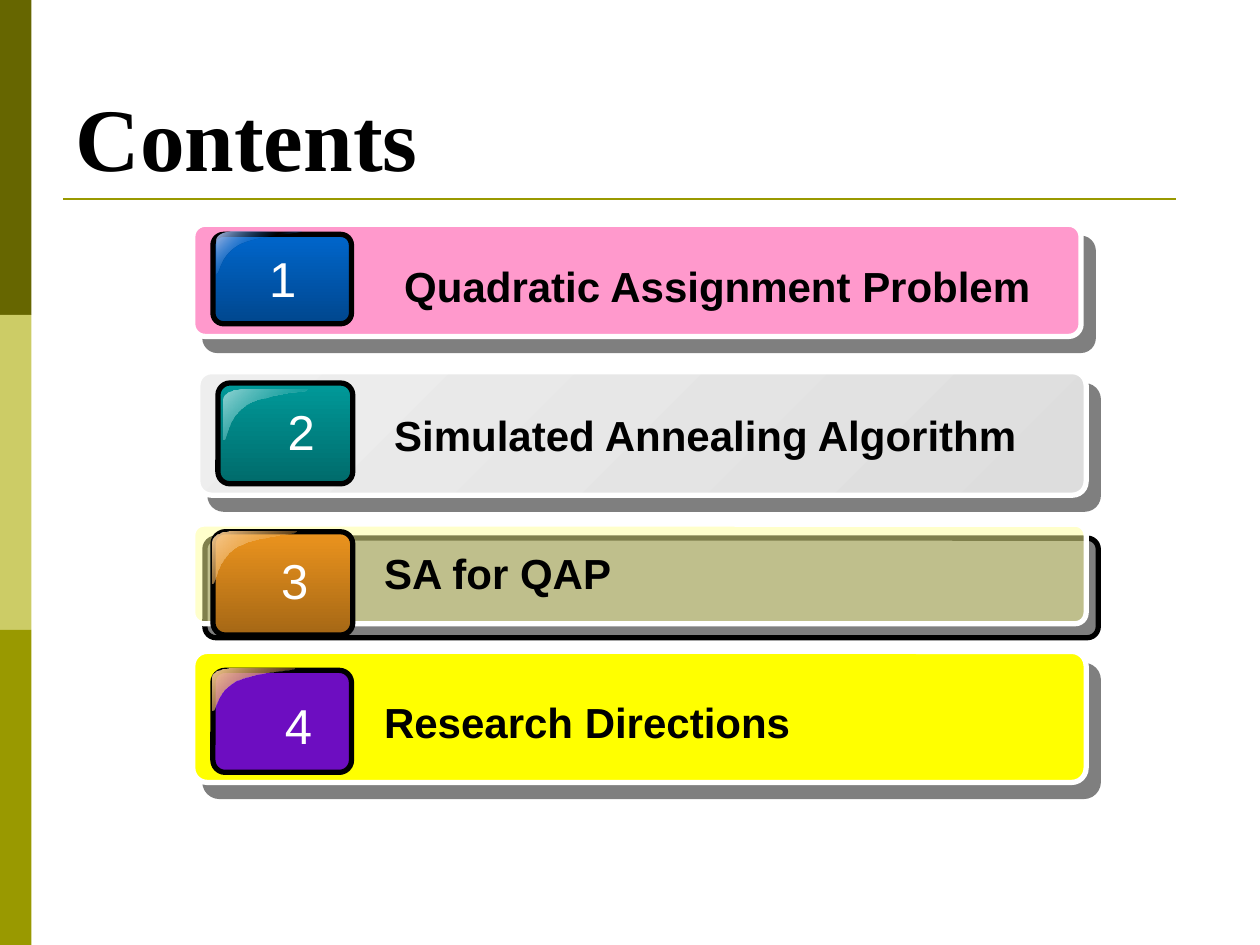
"""Build a contents slide with four numbered, glossy agenda bars."""
from lxml import etree
from pptx import Presentation
from pptx.dml.color import RGBColor
from pptx.enum.shapes import MSO_CONNECTOR, MSO_SHAPE
from pptx.enum.text import MSO_ANCHOR, MSO_AUTO_SIZE, PP_ALIGN
from pptx.oxml.ns import qn
from pptx.util import Inches, Pt

RECT, ROUND = MSO_SHAPE.RECTANGLE, MSO_SHAPE.ROUNDED_RECTANGLE
LINE = MSO_CONNECTOR.STRAIGHT
LEFT, CENTER = PP_ALIGN.LEFT, PP_ALIGN.CENTER
BOTTOM = MSO_ANCHOR.BOTTOM
GROW = MSO_AUTO_SIZE.SHAPE_TO_FIT_TEXT
BLACK, WHITE = RGBColor(0, 0, 0), RGBColor(255, 255, 255)
OLIVE = RGBColor(0x99, 0x99, 0x00)
BANDS = [RGBColor(0x66, 0x66, 0x00), RGBColor(0xCC, 0xCC, 0x66), OLIVE]

AMBER = [(0, "F6CB92", 100), (100, "EC941E", 0)]
ITEMS = [
    dict(text="Quadratic Assignment Problem", label=(3.11, 2.02, 5.18, 0.5),
         bar=(1.53, 1.78, 7.05, 0.89), paint=[(0, "FF99CC", 100)],
         key=(1.69, 1.86, 1.1, 0.71),
         tint=[(0, "0066CC", 100), (100, "00478E", 100)],
         shine=(1.72, 1.84, 0.68, 0.33),
         gloss=[(0, "B5C0E5", 100), (50, "0066CC", 0), (100, "B5C0E5", 100)],
         digit=(1.93, 1.92, 0.63, 0.57), wrap=True),
    dict(text="Simulated Annealing Algorithm", label=(3.03, 3.2, 5.18, 0.5),
         bar=(1.57, 2.95, 7.05, 0.98),
         paint=[(0, "EEEEEE", 100), (100, "DDDDDD", 100)],
         key=(1.73, 3.04, 1.07, 0.8),
         tint=[(0, "009999", 100), (100, "006B6B", 100)],
         shine=(1.77, 3.09, 0.68, 0.4),
         gloss=[(0, "93D4D4", 100), (100, "009999", 0)],
         digit=(2.18, 3.14, 0.42, 0.57), wrap=False),
    dict(text="SA for QAP", label=(2.95, 4.3, 5.67, 0.5),
         bar=(1.53, 4.16, 7.09, 0.79), paint=[(0, "FFFF99", 50)],
         key=(1.69, 4.22, 1.11, 0.82),
         tint=[(0, "EC941E", 100), (100, "A56715", 100)],
         shine=(1.69, 4.22, 0.67, 0.41), gloss=AMBER,
         digit=(2.13, 4.32, 0.42, 0.57), wrap=False),
    dict(text="Research Directions", label=(2.95, 5.48, 5.83, 0.5),
         bar=(1.53, 5.17, 7.09, 1.04), paint=[(0, "FFFF00", 100)],
         key=(1.69, 5.32, 1.1, 0.81), tint=[(0, "6600CC", 95)],
         shine=(1.69, 5.31, 0.65, 0.33), gloss=AMBER,
         digit=(2.16, 5.47, 0.42, 0.57), wrap=False),
]
GLINT = [
    ("a:moveTo", [(0.2, 0)]),
    ("a:cubicBezTo", [(0.09, 0), (0, 0.09), (0, 0.21)]),
    ("a:lnTo", [(0, 1)]),
    ("a:cubicBezTo", [(0.05, 1), (0.03, 0.57), (0.28, 0.3)]),
    ("a:cubicBezTo", [(0.53, 0.08), (1, 0.06), (0.99, 0)]),
    ("a:lnTo", [(0.2, 0)]),
    ("a:close", []),
]


def place(box):
    return [Inches(v) for v in box]


def add(parent, tag, **attrs):
    return etree.SubElement(parent, qn(tag), **attrs)


def clear(parent):
    for child in list(parent):
        parent.remove(child)


def fade(color, alpha):
    if alpha < 100:
        add(color, "a:alpha", val=str(alpha * 1000))


def fill(shape, stops, angle):
    props = shape._element.spPr
    if len(stops) == 1:
        _, tone, alpha = stops[0]
        shape.fill.solid()
        shape.fill.fore_color.rgb = RGBColor.from_string(tone)
        fade(next(props.iter(qn("a:srgbClr"))), alpha)
        return
    shape.fill.gradient()
    shape.fill.gradient_angle = 360 - angle
    group = next(props.iter(qn("a:gsLst")))
    clear(group)
    for spot, tone, alpha in stops:
        stop = add(group, "a:gs", pos=str(spot * 1000))
        fade(add(stop, "a:srgbClr", val=tone), alpha)


def panel(box, curve, stops, angle, edge):
    shape = slide.shapes.add_shape(ROUND, *place(box))
    shape.adjustments[0] = curve
    shape.shadow.inherit = False
    fill(shape, stops, angle)
    shape.line.color.rgb = edge
    shape.line.width = Pt(3)
    return shape


def drop(shape):
    effects = shape._element.spPr.find(qn("a:effectLst"))
    cast = add(effects, "a:outerShdw", blurRad="0", dist=str(Pt(10.6)),
               dir=str(49 * 60000), algn="ctr", rotWithShape="0")
    fade(add(cast, "a:srgbClr", val="000000"), 50)


def shine(box, stops):
    left, top, width, height = place(box)
    build = slide.shapes.build_freeform(left, top)
    build.add_line_segments([(left + width, top), (left, top + height)])
    shape = build.convert_to_shape()
    track = next(shape._element.spPr.iter(qn("a:path")))
    clear(track)
    for tag, spots in GLINT:
        step = add(track, tag)
        for x, y in spots:
            add(step, "a:pt", x=str(round(x * width)), y=str(round(y * height)))
    shape.shadow.inherit = False
    fill(shape, stops, 45)
    shape.line.fill.background()


def style(para, name, size, color, bold, align):
    para.alignment = align
    font = para.runs[0].font
    font.name, font.size, font.bold = name, Pt(size), bold
    font.color.rgb = color


def write(box, text, size, color, bold, align, wrap):
    frame = slide.shapes.add_textbox(*place(box)).text_frame
    frame.word_wrap = wrap
    frame.auto_size = GROW
    frame.text = text
    style(frame.paragraphs[0], "Arial", size, color, bold, align)


deck = Presentation()
deck.slide_width, deck.slide_height = Inches(10), Inches(7.5)
slide = deck.slides.add_slide(deck.slide_layouts[5])

for row, color in enumerate(BANDS):
    band = slide.shapes.add_shape(RECT, *place((0, row * 2.5, 0.25, 2.5)))
    band.shadow.inherit = False
    band.fill.solid()
    band.fill.fore_color.rgb = color
    band.line.fill.background()

rule = slide.shapes.add_connector(LINE, *place((0.5, 1.58, 9.33, 1.58)))
rule.line.color.rgb = OLIVE
rule.line.width = Pt(1.5)
add(rule._element.spPr, "a:effectLst")

title = slide.shapes.title
title.left, title.top, title.width, title.height = place((0.5, 0.3, 9, 1.25))
title.text_frame.text = "Contents"
title.text_frame.vertical_anchor = BOTTOM
style(title.text_frame.paragraphs[0], "Times New Roman", 51, BLACK, True, LEFT)

for count, item in enumerate(ITEMS, 1):
    drop(panel(item["bar"], 0.11, item["paint"], 45, WHITE))
    panel(item["key"], 0.12, item["tint"], 90, BLACK)
    shine(item["shine"], item["gloss"])
    write(item["digit"], str(count), 28, WHITE, False, CENTER, item["wrap"])
    write(item["label"], item["text"], 24, BLACK, True, LEFT, True)

deck.save("out.pptx")
